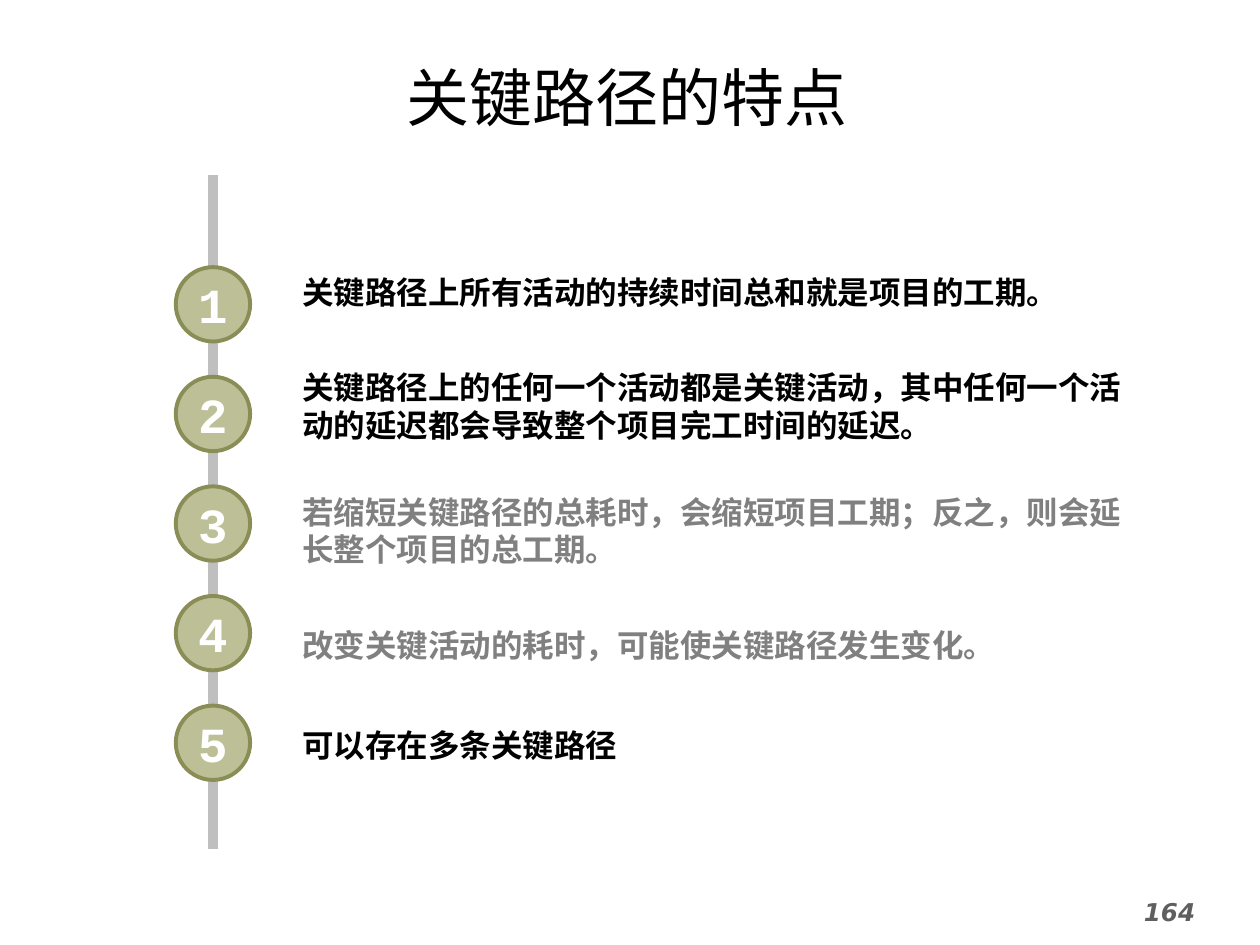
from dataclasses import dataclass

import pptx
import pptx.dml.color
import pptx.enum.shapes
import pptx.enum.text
import pptx.oxml
import pptx.oxml.ns
import pptx.slide
import pptx.text.text
import pptx.util
from pptx.util import Inches

ALIGN = pptx.enum.text.PP_ALIGN
ANCHOR = pptx.enum.text.MSO_ANCHOR


@dataclass(frozen=True)
class TextStyle:
    font: str
    size: float
    color: str
    bold: bool = False
    italic: bool = False


@dataclass(frozen=True)
class Theme:
    background: str = "FFFFFF"
    rail: str = "BFBFBF"
    rail_width: float = 6
    badge_fill: str = "BDC097"
    badge_line: str = "8A8E56"
    badge_line_width: float = 2.25
    title: TextStyle = TextStyle("Noto Sans CJK JP", 36, "000000")
    strong: TextStyle = TextStyle("Noto Sans CJK SC", 18, "000000", bold=True)
    muted: TextStyle = TextStyle("Noto Sans CJK SC", 18, "808080", bold=True)
    number: TextStyle = TextStyle("Courier New", 28, "FFFFFF", bold=True)
    page: TextStyle = TextStyle("DejaVu Sans", 14, "5F5F5F", bold=True, italic=True)


@dataclass(frozen=True)
class Feature:
    text: str
    top: float
    width: float
    height: float
    style: TextStyle
    wrap: bool = True


THEME = Theme()
RAIL_X, RAIL_TOP, RAIL_BOTTOM = 1.69, 1.39, 6.74
BADGE_SIZE, BADGE_TOP, BADGE_PITCH = 0.59, 2.12, 0.87
TEXT_LEFT = 2.3

FEATURES = [
    Feature("关键路径上所有活动的持续时间总和就是项目的工期。", 2.12, 6.83, 0.4, THEME.strong),
    Feature("关键路径上的任何一个活动都是关键活动，其中任何一个活动的延迟都会导致整个项目完工时间的延迟。",
            2.87, 6.83, 0.71, THEME.strong),
    Feature("若缩短关键路径的总耗时，会缩短项目工期；反之，则会延长整个项目的总工期。",
            3.86, 6.88, 0.71, THEME.muted),
    Feature("改变关键活动的耗时，可能使关键路径发生变化。", 4.92, 6.06, 0.4, THEME.muted),
    Feature("可以存在多条关键路径", 5.71, 2.74, 0.4, THEME.strong, wrap=False),
]


def rgb(value: str) -> pptx.dml.color.RGBColor:
    return pptx.dml.color.RGBColor.from_string(value)


def write(tf: pptx.text.text.TextFrame, text: str, style: TextStyle,
          align: ALIGN = ALIGN.LEFT) -> None:
    """Fill the frame with one paragraph, styled for Latin and East Asian text."""
    p = tf.paragraphs[0]
    p.text = text
    p.alignment = align
    font = p.font
    font.name = style.font
    font.size = pptx.util.Pt(style.size)
    font.bold = style.bold
    font.italic = style.italic
    font.color.rgb = rgb(style.color)
    latin = p._p.pPr.find(".//" + pptx.oxml.ns.qn("a:latin"))
    ea = pptx.oxml.parse_xml(f'<a:ea {pptx.oxml.ns.nsdecls("a")} typeface="{style.font}"/>')
    latin.addnext(ea)


def add_text(s: pptx.slide.Slide, left: float, top: float, width: float, height: float,
             text: str, style: TextStyle, align: ALIGN = ALIGN.LEFT,
             anchor: ANCHOR = ANCHOR.TOP, wrap: bool = True) -> None:
    tf = s.shapes.add_textbox(Inches(left), Inches(top), Inches(width), Inches(height)).text_frame
    tf.word_wrap = wrap
    tf.vertical_anchor = anchor
    write(tf, text, style, align)


def add_rail(s: pptx.slide.Slide) -> None:
    rail = s.shapes.add_connector(
        pptx.enum.shapes.MSO_CONNECTOR.STRAIGHT,
        Inches(RAIL_X), Inches(RAIL_TOP), Inches(RAIL_X), Inches(RAIL_BOTTOM))
    rail.line.color.rgb = rgb(THEME.rail)
    rail.line.width = pptx.util.Pt(THEME.rail_width)
    rail._element.spPr.append(
        pptx.oxml.parse_xml(f'<a:effectLst {pptx.oxml.ns.nsdecls("a")}/>'))


def add_badge(s: pptx.slide.Slide, index: int) -> None:
    """Draw the numbered circle of one feature, centred on the rail."""
    sp = s.shapes.add_shape(
        pptx.enum.shapes.MSO_SHAPE.OVAL,
        Inches(RAIL_X - BADGE_SIZE / 2), Inches(BADGE_TOP + index * BADGE_PITCH),
        Inches(BADGE_SIZE), Inches(BADGE_SIZE))
    sp.shadow.inherit = False
    sp.fill.solid()
    sp.fill.fore_color.rgb = rgb(THEME.badge_fill)
    sp.line.color.rgb = rgb(THEME.badge_line)
    sp.line.width = pptx.util.Pt(THEME.badge_line_width)
    tf = sp.text_frame
    tf.word_wrap = False
    tf.vertical_anchor = ANCHOR.MIDDLE
    write(tf, str(index + 1), THEME.number, ALIGN.CENTER)


def main() -> None:
    prs = pptx.Presentation()
    prs.slide_width, prs.slide_height = Inches(10), Inches(7.5)
    s = prs.slides.add_slide(prs.slide_layouts[6])
    s.background.fill.solid()
    s.background.fill.fore_color.rgb = rgb(THEME.background)

    add_text(s, 1.39, 0.41, 7.17, 0.71, "关键路径的特点", THEME.title,
             ALIGN.CENTER, ANCHOR.MIDDLE)
    add_rail(s)
    for index, feature in enumerate(FEATURES):
        add_badge(s, index)
        add_text(s, TEXT_LEFT, feature.top, feature.width, feature.height,
                 feature.text, feature.style, wrap=feature.wrap)
    add_text(s, 8.98, 7.07, 1.02, 0.43, "164", THEME.page)
    prs.save("out.pptx")


if __name__ == "__main__":
    main()
